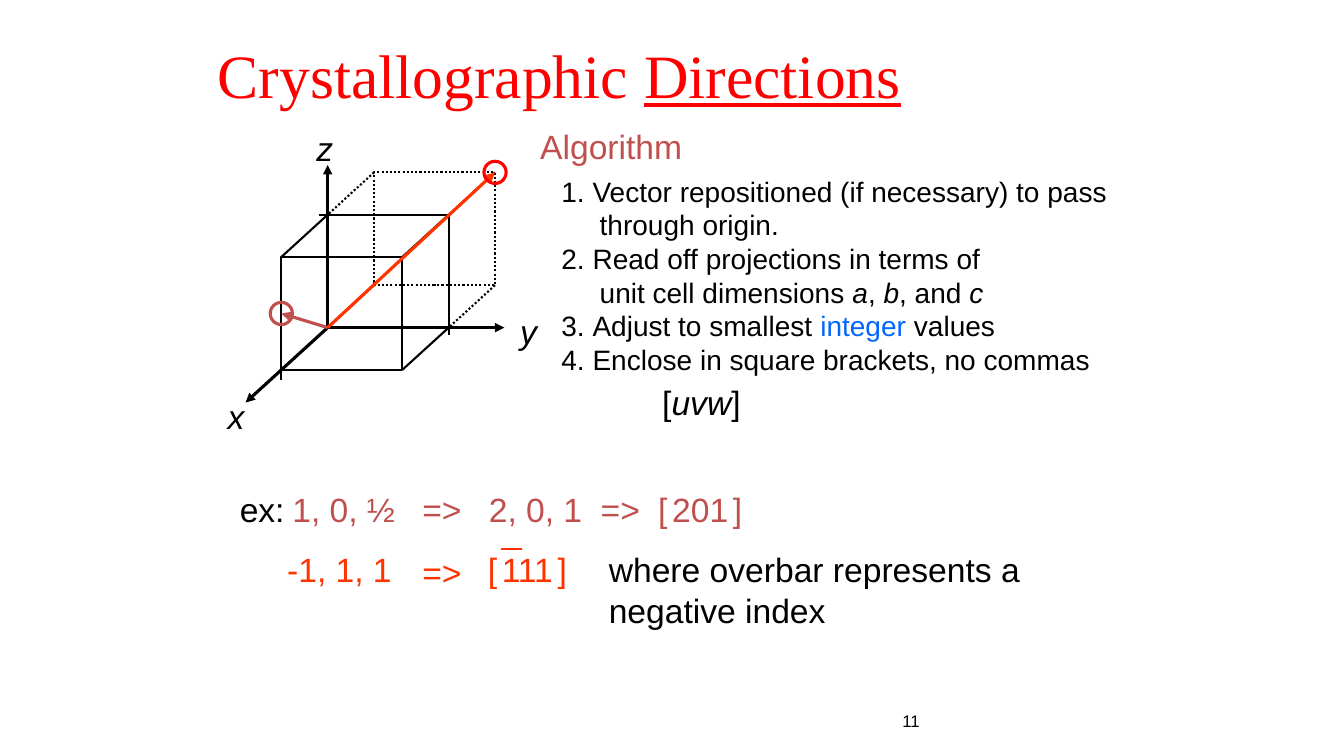
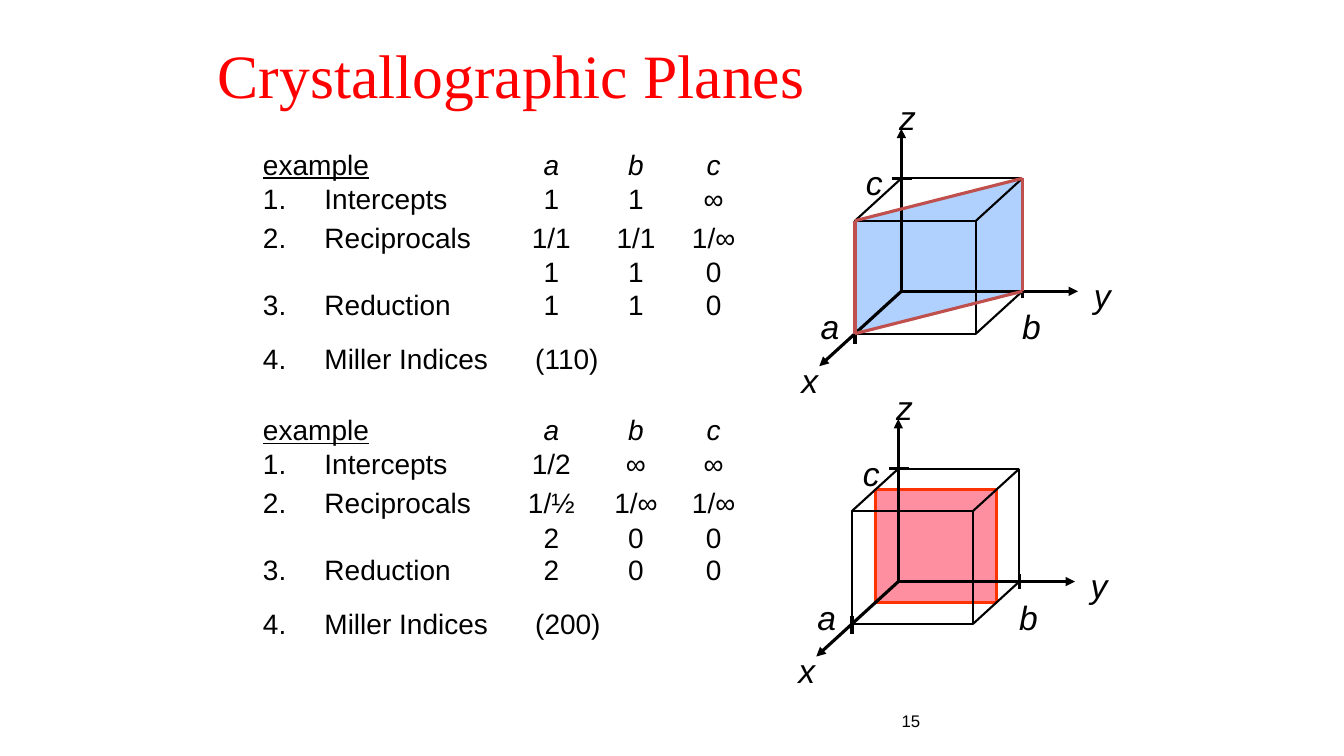
"""Build two slides on crystallographic directions and planes."""
from itertools import product

from pptx import Presentation
from pptx.dml.color import RGBColor
from pptx.enum.dml import MSO_LINE_DASH_STYLE as Dash
from pptx.enum.shapes import MSO_CONNECTOR as Connector, MSO_SHAPE as Shape
from pptx.enum.text import MSO_ANCHOR as Anchor, PP_ALIGN as Align
from pptx.oxml.ns import qn
from pptx.util import Inches, Pt

BLACK = RGBColor(0x00, 0x00, 0x00)
RED = RGBColor(0xFF, 0x00, 0x00)
ORANGE = RGBColor(0xFF, 0x33, 0x00)
BRICK = RGBColor(0xC0, 0x50, 0x4D)
BLUE = RGBColor(0x00, 0x66, 0xFF)
PALE_BLUE = RGBColor(0xB0, 0xD1, 0xFE)
PINK = RGBColor(0xFD, 0x8F, 0xA1)

COLUMNS, ROWS = 133.3, 75
THIN, THICK = 1.5, 2.25
AXES = {"x": (1.77, 0, 0), "y": (0, 1.46, 0), "z": (0, 0, 1.44)}
AXIS_LABELS = {"x": (-9.2, 8.8), "y": (19.8, 0.4)}
EDGE_LABELS = {"a": (-7.3, 3.5), "b": (12.7, 3.5), "c": (-2.8, -10.8)}
TICKS = [((-4.6, 5.2), (-4.6, 3.4)), ((12, 0.7), (12, -0.8)),
         ((-0.9, -11.2), (1.1, -11.2))]
EXAMPLE_ROWS = (0, 3.4, 7.3, 10.7, 13.9, 19.3)
EXAMPLE_LABELS = ("1.\tIntercepts", "2.\tReciprocals", "", "3.\tReduction")
LABEL_TABS = [(6.1, "l"), (27, "l")]
VALUE_TABS = [(3.7, "ctr"), (12.1, "ctr"), (19.8, "ctr")]


def grid(cells):
    return Inches(cells / 10)


def span(text, size=20, color=BLACK, font="Arial", italic=False, underline=False):
    return text, dict(size=size, color=color, font=font, italic=italic,
                      underline=underline)


class Page:
    def __init__(self, deck, title, number):
        self.slide = deck.slides.add_slide(deck.slide_layouts[6])
        self.shapes = self.slide.shapes
        self.origin = (0, 0)
        heading = self.text(21.6, 3.6, 100.2, 7.4, title, inset=False)
        heading.text_frame.vertical_anchor = Anchor.MIDDLE
        self.text(83.9, 70, 12.9, 3.9, [span(number, size=12)], align=Align.CENTER)

    def text(self, left, top, width, height, *lines, align=Align.LEFT, tabs=(),
             hang=0, inset=True):
        box = self.shapes.add_textbox(*map(grid, (left, top, width, height)))
        frame = box.text_frame
        frame.word_wrap = True
        if not inset:
            frame.margin_left = frame.margin_right = 0
            frame.margin_top = frame.margin_bottom = 0
        for index, line in enumerate(lines):
            para = frame.add_paragraph() if index else frame.paragraphs[0]
            para.alignment = align
            self.indent(para, tabs, hang)
            for words, style in line:
                self.add_runs(para, words, style)
        return box

    def indent(self, para, tabs, hang):
        properties = para._p.get_or_add_pPr()
        if hang:
            properties.set("marL", str(grid(hang)))
            properties.set("indent", str(-grid(hang)))
        if tabs:
            stops = properties.makeelement(qn("a:tabLst"), {})
            properties.append(stops)
            for position, kind in tabs:
                stops.append(stops.makeelement(
                    qn("a:tab"), {"pos": str(grid(position)), "algn": kind}))

    def add_runs(self, para, words, style):
        for index, part in enumerate(words.split("\n")):
            if index:
                para.add_line_break()
            run = para.add_run()
            run.text = part
            run.font.name = style["font"]
            run.font.size = Pt(style["size"])
            run.font.color.rgb = style["color"]
            run.font.italic = style["italic"]
            run.font.underline = style["underline"]

    def line(self, start, end, color=BLACK, width=THIN, dash=None, arrow=False):
        line = self.shapes.add_connector(Connector.STRAIGHT, *map(grid, start + end))
        self.outline(line, color, width, dash)
        properties = line._element.spPr
        if arrow:
            stroke = line.line._get_or_add_ln()
            stroke.append(stroke.makeelement(qn("a:tailEnd"), {"type": "triangle"}))
        properties.append(properties.makeelement(qn("a:effectLst"), {}))
        return line

    def outline(self, shape, color, width, dash=None):
        shape.line.color.rgb = color
        shape.line.width = Pt(width)
        if dash:
            shape.line.dash_style = dash

    def paint(self, shape, fill):
        shape.shadow.inherit = False
        if fill:
            shape.fill.solid()
            shape.fill.fore_color.rgb = fill
        else:
            shape.fill.background()

    def shape(self, kind, left, top, width, height, color, weight, fill=None, dash=None):
        shape = self.shapes.add_shape(kind, *map(grid, (left, top, width, height)))
        self.paint(shape, fill)
        self.outline(shape, color, weight, dash)
        return shape

    def offset(self, column, row):
        return self.origin[0] + column, self.origin[1] + row

    def project(self, a, b, c):
        return self.offset(12 * b - 4.6 * a, 4.2 * a - 11.2 * c)

    def edge(self, start, end, **style):
        return self.line(self.project(*start), self.project(*end), **style)

    def face(self, a, color=BLACK, weight=THIN, **style):
        left, top = self.project(a, 0, 1)
        return self.shape(Shape.RECTANGLE, left, top, 12, 11.2, color, weight, **style)

    def polygon(self, corners, fill):
        points = [tuple(map(grid, self.project(*corner))) for corner in corners]
        builder = self.shapes.build_freeform(*points[0], scale=1.0)
        builder.add_line_segments(points[1:], close=True)
        shape = builder.convert_to_shape()
        self.paint(shape, fill)
        shape.line.fill.background()

    def ring(self, corner, color):
        column, row = self.project(*corner)
        self.shape(Shape.OVAL, column - 1.1, row - 1.1, 2.2, 2.2, color, THICK)

    def label(self, name, place):
        column, row = self.offset(*place)
        self.text(column - 1.7, row - 2.5, 3.4, 5, [span(name, size=24, italic=True)],
                  align=Align.CENTER)

    def cell(self, labels, tick_width):
        for end in AXES.values():
            self.edge((0, 0, 0), end, width=THICK, arrow=True)
        for start, end in TICKS:
            self.line(self.offset(*start), self.offset(*end), width=tick_width)
        for start, end in [((0, 0, 1), (0, 1, 1)), ((0, 1, 0), (0, 1, 1))]:
            self.edge(start, end)
        for b, c in [(0, 1), (1, 0), (1, 1)]:
            self.edge((0, b, c), (1, b, c))
        for name, place in labels.items():
            self.label(name, place)
        return self.face(1)

    def example(self, top, values, indices):
        labels = [span("example", underline=True), *map(span, EXAMPLE_LABELS)]
        rows = [span("\ta\tb\tc", italic=True)]
        rows += [span("\t" + "\t".join(row.split())) for row in values]
        for offset, label, row in zip(EXAMPLE_ROWS, labels, rows):
            if label[0]:
                self.text(25.1, top + offset, 24.5, 4.3, [label], tabs=LABEL_TABS)
            self.text(50, top + offset, 24, 4.3, [row], tabs=VALUE_TABS)
        self.text(25.1, top + EXAMPLE_ROWS[-1], 46, 4.3,
                  [span(f"4.\tMiller Indices\t{indices}")], tabs=LABEL_TABS)


def title_span(text, **style):
    return span(text, size=44, color=RED, font="Times New Roman", **style)


def bracketed(digits, color):
    gap = span(" ", size=12, color=color)
    return [span("[", size=24, color=color), gap, span(digits, size=24, color=color),
            gap, span("]", size=24, color=color)]


def build_directions(deck):
    page = Page(deck, [title_span("Crystallographic "),
                       title_span("Directions", underline=True)], "11")
    page.origin = (32.5, 32.5)
    dotted = Dash.ROUND_DOT
    page.face(-1, dash=dotted)
    for b, c in product((0, 1), repeat=2):
        page.edge((-1, b, c), (0, b, c), dash=dotted)
    front = page.cell(AXIS_LABELS | {"z": (-0.4, -17.8)}, THIN)
    half, diagonal = (1, 0, 0.5), (-1, 1, 1)
    arrow = page.edge((0, 0, 0), half, color=BRICK, width=THICK, arrow=True)
    arrow.end_connect(front, 1)
    page.edge((0, 0, 0), diagonal, color=ORANGE, width=THICK, arrow=True)
    page.ring(half, BRICK)
    page.ring(diagonal, RED)

    page.text(52.6, 12, 18, 5, [span("Algorithm", size=24, color=BRICK)])
    page.text(
        54.7, 16.8, 59, 21,
        [span("1.\u00a0Vector repositioned (if necessary) to pass\nthrough origin.")],
        [span("2.\u00a0Read off projections in terms of\nunit cell dimensions "),
         span("a", italic=True), span(", "), span("b", italic=True),
         span(", and "), span("c", italic=True)],
        [span("3.\u00a0Adjust to smallest "), span("integer ", color=BLUE),
         span("values")],
        [span("4.\u00a0Enclose in square brackets, no commas")],
        hang=3.8)
    page.text(64.7, 37.4, 12, 5, [span("[", size=24), span("uvw", size=24, italic=True),
                                  span("]", size=24)])

    page.text(22.8, 48, 19.4, 5, [span("ex:", size=24), span(" "),
                                  span("1, 0, ½", size=24, color=BRICK)])
    page.text(40.9, 48, 19.2, 5, [span("=>\t2, 0, 1", size=24, color=BRICK)],
              tabs=[(6.6, "l")])
    page.text(58.6, 48, 18.3, 5,
              [span("=>\t", size=24, color=BRICK), *bracketed("201", BRICK)],
              tabs=[(5.7, "l")])
    page.text(27.5, 54, 13.3, 5, [span("-1, 1, 1", size=24, color=ORANGE)])
    page.text(40.9, 54.3, 6.5, 5, [span("=>", size=24, color=ORANGE)])
    page.text(47.4, 54, 12, 5, bracketed("111", ORANGE))
    page.line((49.7, 54.5), (51.8, 54.5), color=ORANGE)
    page.text(59.4, 54, 52.6, 9.1,
              [span("where overbar represents a negative index", size=24)])


def build_planes(deck):
    page = Page(deck, [title_span("Crystallographic Planes")], "15")
    labels = AXIS_LABELS | EDGE_LABELS | {"z": (0.5, -17.3)}
    page.origin = (89.4, 28.9)
    corners = [(1, 0, 0), (1, 0, 1), (0, 1, 1), (0, 1, 0)]
    page.polygon(corners, PALE_BLUE)
    page.cell(labels, THICK)
    for start, end in zip(corners, corners[1:] + corners[:1]):
        page.edge(start, end, color=BRICK, width=THICK)
    page.example(14.1, ("1 1 ∞", "1/1 1/1 1/∞", "1 1 0", "1 1 0"), "(110)")

    page.origin = (89.1, 57.7)
    page.face(0.5, color=ORANGE, weight=THICK, fill=PINK)
    page.cell(labels, THICK)
    page.example(40.4, ("1/2 ∞ ∞", "1/½ 1/∞ 1/∞", "2 0 0", "2 0 0"), "(200)")


def main():
    deck = Presentation()
    deck.slide_width, deck.slide_height = grid(COLUMNS), grid(ROWS)
    build_directions(deck)
    build_planes(deck)
    deck.save("out.pptx")


if __name__ == "__main__":
    main()
